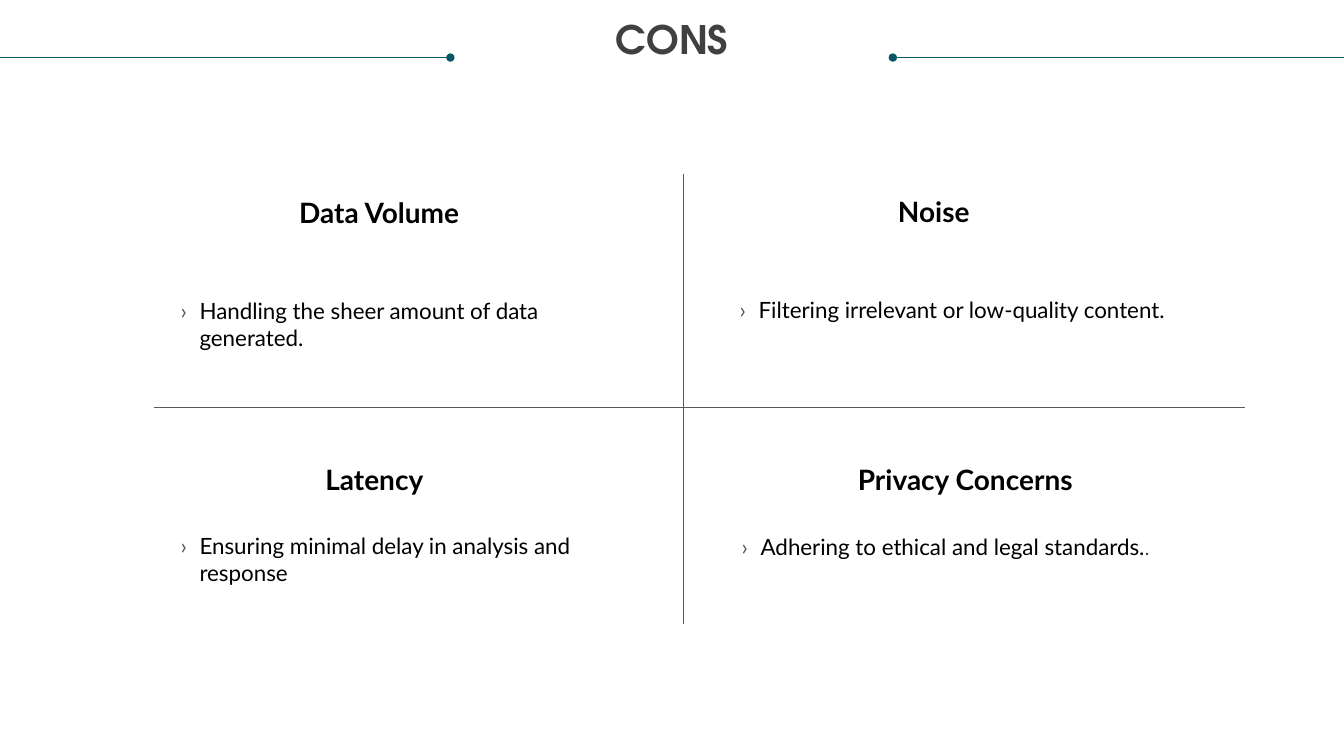
"""Build the CONS slide: a title between two rules above a two-by-two grid of drawbacks."""
from lxml.etree import SubElement
from pptx import Presentation
from pptx.dml.color import RGBColor
from pptx.enum.shapes import MSO_CONNECTOR as Connector
from pptx.enum.text import PP_ALIGN as Align
from pptx.oxml.ns import qn
from pptx.util import Cm, Pt
from dataclasses import dataclass


@dataclass(frozen=True)
class Theme:
    """Colours, fonts and type sizes."""
    accent: str = "085764"
    rule: str = "585858"
    title: str = "404040"
    ink: str = "000000"
    title_font: str = "TeX Gyre Adventor"
    body_font: str = "Lato"
    title_size: int = 28
    heading_size: int = 20
    body_size: int = 16
    small_size: int = 14
    line_width: float = 0.5


THEME = Theme()
SLIDE_WIDTH, SLIDE_HEIGHT = 33.87, 19.05
TEXT_WIDTH, HEADING_WIDTH = 11.56, 11.2
HEADING_HEIGHT, LINE_HEIGHT = 0.86, 0.69
BULLET_INDENT = 0.48

TITLE = "CONS"
CONCERNS = [
    {"heading": "Data Volume", "heading_at": (7.54, 4.93), "lines": 2,
     "text": "Handling the sheer amount of data generated.", "text_at": (4.55, 7.49)},
    {"heading": "Noise", "heading_at": (22.63, 4.9), "lines": 1,
     "text": "Filtering irrelevant or low-quality content.", "text_at": (18.64, 7.47)},
    {"heading": "Latency", "heading_at": (8.2, 11.66), "lines": 2,
     "text": "Ensuring minimal delay in analysis and response", "text_at": (4.55, 13.41)},
    {"heading": "Privacy Concerns", "heading_at": (21.62, 11.66), "lines": 1,
     "text": "Adhering to ethical and legal standards.", "text_at": (18.69, 13.44),
     "ending": "."},
]
RULES = [
    ((22.5, 1.45), (SLIDE_WIDTH, 1.45), THEME.accent, "headEnd"),
    ((0, 1.45), (11.35, 1.45), THEME.accent, "tailEnd"),
    ((3.89, 10.26), (31.37, 10.26), THEME.rule, None),
    ((17.22, 4.39), (17.22, 15.72), THEME.rule, None),
]


def add_rule(slide, start, end, color, dot=None):
    """Draw a thin line, with a round dot at one end if asked."""
    rule = slide.shapes.add_connector(Connector.STRAIGHT, *map(Cm, start + end))
    rule.line.color.rgb = RGBColor.from_string(color)
    rule.line.width = Pt(THEME.line_width)
    properties = rule.element.spPr
    if dot:
        SubElement(properties.find(qn("a:ln")), qn(f"a:{dot}"), type="oval")
    SubElement(properties, qn("a:effectLst"))


def add_run(paragraph, text, font, size, color, bold=False):
    """Append formatted text to a paragraph."""
    run = paragraph.add_run()
    run.text = text
    run.font.name = font
    run.font.size = Pt(size)
    run.font.bold = bold
    run.font.color.rgb = RGBColor.from_string(color)


def add_bullet(paragraph):
    """Give a paragraph a hanging angle bullet."""
    properties = paragraph._p.get_or_add_pPr()
    properties.set("marL", str(Cm(BULLET_INDENT)))
    properties.set("indent", str(-Cm(BULLET_INDENT)))
    color = SubElement(properties, qn("a:buClr"))
    SubElement(color, qn("a:srgbClr"), val=THEME.rule)
    SubElement(properties, qn("a:buFont"), typeface=THEME.body_font)
    SubElement(properties, qn("a:buChar"), char="›")


def add_text(slide, text, at, size, *, font=THEME.body_font, points=THEME.body_size,
             color=THEME.ink, bold=False, align=None, spacing=None, bullet=False):
    """Place a text box without margins and return its paragraph."""
    shape = slide.shapes.add_textbox(*map(Cm, at + size))
    frame = shape.text_frame
    frame.word_wrap = True
    frame.margin_left = frame.margin_top = frame.margin_right = frame.margin_bottom = 0
    paragraph = frame.paragraphs[0]
    paragraph.alignment = align
    paragraph.line_spacing = spacing
    if bullet:
        add_bullet(paragraph)
    add_run(paragraph, text, font, points, color, bold)
    return paragraph


def main():
    """Build and save the slide."""
    presentation = Presentation()
    presentation.slide_width = Cm(SLIDE_WIDTH)
    presentation.slide_height = Cm(SLIDE_HEIGHT)
    slide = presentation.slides.add_slide(presentation.slide_layouts[6])
    for rule in RULES:
        add_rule(slide, *rule)
    add_text(slide, TITLE, (0.64, 0.53), (32.59, 1.85), font=THEME.title_font,
             points=THEME.title_size, color=THEME.title, bold=True,
             align=Align.CENTER, spacing=0.9)
    for concern in CONCERNS:
        add_text(slide, concern["heading"], concern["heading_at"],
                 (HEADING_WIDTH, HEADING_HEIGHT), points=THEME.heading_size, bold=True)
        paragraph = add_text(slide, concern["text"], concern["text_at"],
                             (TEXT_WIDTH, concern["lines"] * LINE_HEIGHT), bullet=True)
        if "ending" in concern:
            add_run(paragraph, concern["ending"], THEME.body_font,
                    THEME.small_size, THEME.title)
    presentation.save("out.pptx")


if __name__ == "__main__":
    main()
